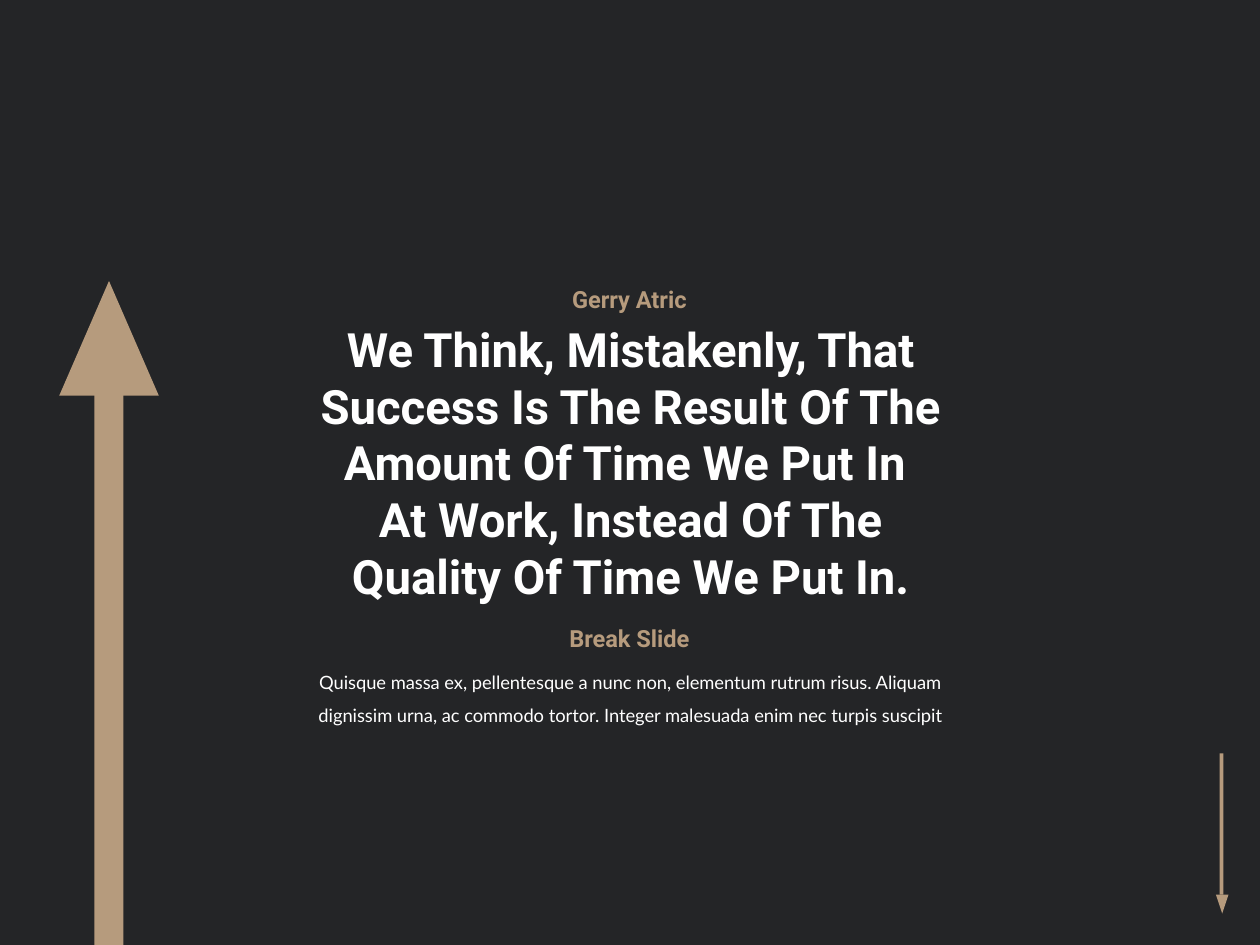
from lxml import etree
from pptx import Presentation
from pptx.dml.color import RGBColor
from pptx.enum import shapes, text
from pptx.oxml import ns
from pptx.util import Inches, Pt

DARK, GOLD, WHITE = "242527", "B69B7D", "FFFFFF"

# Content
QUOTE = ["We Think, Mistakenly, That", "Success Is The Result Of The",
         "Amount Of Time We Put In ", "At Work, Instead Of The",
         "Quality Of Time We Put In."]
BODY = ("Quisque massa ex, pellentesque a nunc non, elementum rutrum risus. "
        "Aliquam dignissim urna, ac commodo tortor. "
        "Integer malesuada enim nec turpis suscipit")
# lines, box, size, font, colour, bold, line spacing
TEXTS = [
    (["Gerry Atric"], (4.09, 2.21, 1.81, 0.33), 13.5, "Roboto", GOLD, True, 1),
    ([BODY], (2.3, 5.19, 5.41, 0.6), 10.5, "Lato", WHITE, False, 1.5),
    (["Break Slide"], (4.16, 4.9, 1.67, 0.33), 13.5, "Roboto", GOLD, True, 1),
]
# shaft box, head box, head rotation
ARROWS = [
    ((9.68, 5.98, 0.03, 1.12), (9.65, 7.1, 0.1, 0.15), 180),
    ((0.75, 3.13, 0.23, 4.37), (0.47, 2.23, 0.79, 0.91), 0),
]


def paint(fill, colour):
    fill.solid()
    fill.fore_color.rgb = RGBColor.from_string(colour)


def add_block(s, kind, box, colour):
    sp = s.shapes.add_shape(kind, *map(Inches, box))
    sp.shadow.inherit = False
    sp.line.fill.background()
    paint(sp.fill, colour)
    return sp


def write(sp, lines, size, font, colour, bold, spacing):
    tf = sp.text_frame
    tf.word_wrap = True
    tf.auto_size = text.MSO_AUTO_SIZE.SHAPE_TO_FIT_TEXT
    tf.vertical_anchor = text.MSO_ANCHOR.TOP
    for i, line in enumerate(lines):
        p = tf.add_paragraph() if i else tf.paragraphs[0]
        p.alignment = text.PP_ALIGN.CENTER
        p.line_spacing = spacing
        r = p.add_run()
        r.text = line
        r.font.size, r.font.name, r.font.bold = Pt(size), font, bold
        paint(r.font.fill, colour)


prs = Presentation()
prs.slide_width, prs.slide_height = Inches(10), Inches(7.5)
s = prs.slides.add_slide(prs.slide_layouts[5])
paint(s.background.fill, DARK)

# Translucent panel, behind the title
panel = add_block(s, shapes.MSO_SHAPE.RECTANGLE, (0.64, 0.64, 8.72, 6.86), DARK)
clr = panel.element.spPr.find(".//" + ns.qn("a:srgbClr"))
etree.SubElement(clr, ns.qn("a:alpha"), val="85000")
title = s.shapes.title
title.element.addprevious(panel.element)

# Arrows
for shaft, head, turn in ARROWS:
    add_block(s, shapes.MSO_SHAPE.RECTANGLE, shaft, GOLD)
    tip = add_block(s, shapes.MSO_SHAPE.ISOSCELES_TRIANGLE, head, GOLD)
    tip.rotation = turn

# Quote
title.left, title.top, title.width, title.height = map(
    Inches, (2.02, 2.49, 5.97, 2.37))
write(title, QUOTE, 27, "Roboto", WHITE, True, 1)

# Author, caption and body
for lines, box, *style in TEXTS:
    write(s.shapes.add_textbox(*map(Inches, box)), lines, *style)

prs.save("out.pptx")
